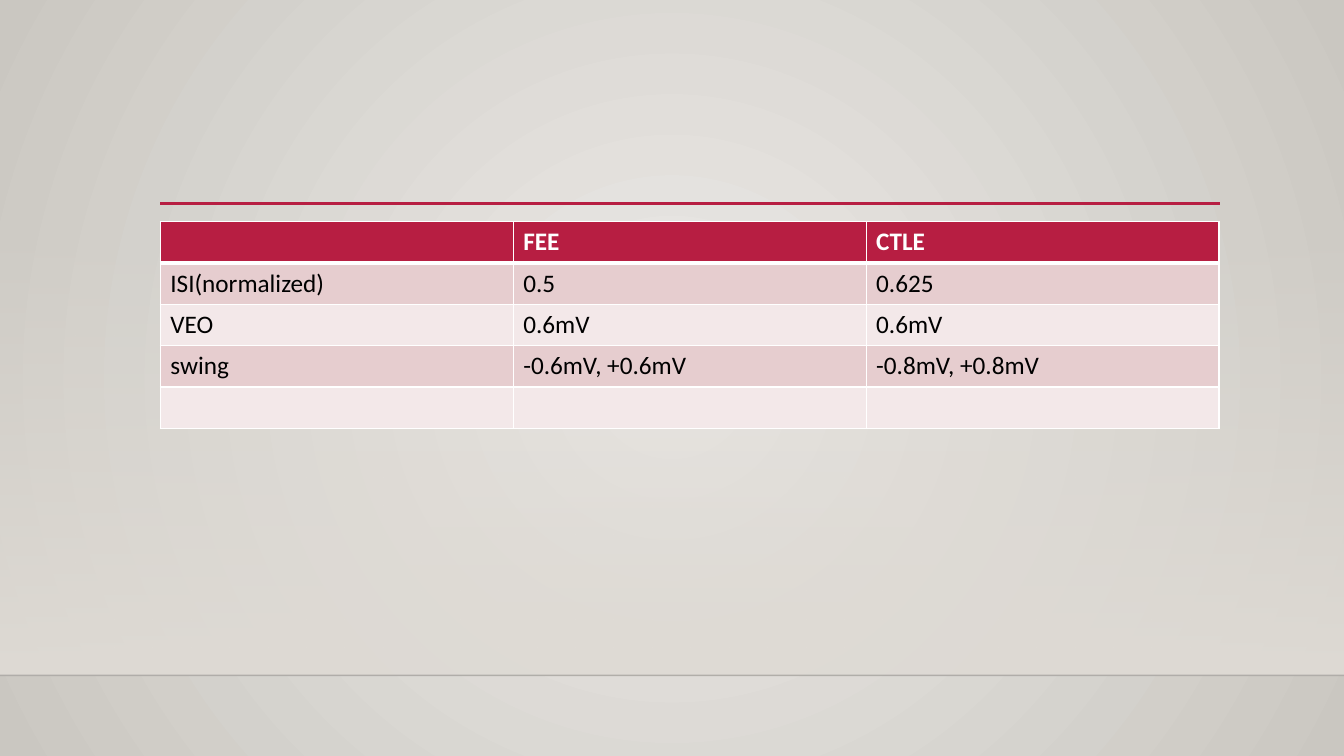
"""Build the equalizer comparison slide."""
from dataclasses import dataclass

from lxml import etree
from pptx import Presentation
from pptx.dml.color import RGBColor
from pptx.enum.shapes import MSO_CONNECTOR, MSO_SHAPE
from pptx.oxml.ns import qn
from pptx.util import Inches, Pt

RECT = MSO_SHAPE.RECTANGLE
STRAIGHT = MSO_CONNECTOR.STRAIGHT
WIDE, HIGH = 13.33, 7.5
FLOOR = 6.7
RED, WHITE, BLACK = "B71E42", "FFFFFF", "000000"
BANDS = ("E6CDCF", "F3E8E9")
COL, ROW = 3.5, 0.41
DATA = (
    ("", "FEE", "CTLE"),
    ("ISI(normalized)", "0.5", "0.625"),
    ("VEO", "0.6mV", "0.6mV"),
    ("swing", "-0.6mV, +0.6mV", "-0.8mV, +0.8mV"),
    ("", "", ""),
)


@dataclass
class Rule:
    """A level line across the slide."""
    left: float
    right: float
    top: float
    color: str
    width: float
    alpha: int = 100


@dataclass
class Stop:
    """One color stop of a gradient."""
    place: int
    color: str
    alpha: int = 100


RULES = (
    Rule(0, WIDE, FLOOR, "000001", 1, 20),
    Rule(1.59, 12.1, 2.02, RED, 2.5),
)


def paint(target, color: str) -> None:
    """Fill a target with one color."""
    target.fill.solid()
    target.fill.fore_color.rgb = RGBColor.from_string(color)


def add(parent, tag: str, **attrs):
    """Append a child element with attributes."""
    return etree.SubElement(parent, qn(tag), {k: str(v) for k, v in attrs.items()})


def fade(node, alpha: int) -> None:
    """Give a color element an opacity in percent."""
    if alpha < 100:
        add(node, "a:alpha", val=alpha * 1000)


def blend(props, stops: tuple[Stop, ...], round_: bool) -> None:
    """Swap a solid fill for a round or downward gradient."""
    grad = etree.Element(qn("a:gradFill"), rotWithShape="1")
    items = add(grad, "a:gsLst")
    for stop in stops:
        mark = add(items, "a:gs", pos=stop.place * 1000)
        fade(add(mark, "a:srgbClr", val=stop.color), stop.alpha)
    if round_:
        shade = add(grad, "a:path", path="circle")
        add(shade, "a:fillToRect", **dict.fromkeys("ltrb", 50000))
    else:
        add(grad, "a:lin", ang=5400000, scaled=0)
    props.replace(props.find(qn("a:solidFill")), grad)


def draw_back(slide) -> None:
    """Draw the round backdrop and the wall glow."""
    paint(slide.background, "CAC7C1")
    back = slide.element.find(".//" + qn("p:bgPr"))
    blend(back, (Stop(0, "ECEAE7"), Stop(100, "CAC7C1")), True)
    top = 2.21
    wall = slide.shapes.add_shape(
        RECT, 0, Inches(top), Inches(WIDE), Inches(FLOOR - top))
    wall.shadow.inherit = False
    wall.line.fill.background()
    paint(wall, "DFDBD5")
    blend(wall.element.spPr, (Stop(0, "DFDBD5", 0), Stop(100, "DFDBD5")), False)


def draw_rule(slide, rule: Rule) -> None:
    """Draw one level line."""
    line = slide.shapes.add_connector(
        STRAIGHT, Inches(rule.left), Inches(rule.top),
        Inches(rule.right), Inches(rule.top))
    line.line.width = Pt(rule.width)
    paint(line.line, rule.color)
    props = line.element.spPr
    fade(props.find(".//" + qn("a:srgbClr")), rule.alpha)
    add(props, "a:effectLst")


def edge(cell, row: int) -> None:
    """Draw white cell borders, thick below the header."""
    props = cell._tc.get_or_add_tcPr()
    widths = {"L": 1, "R": 1, "T": 3 if row == 1 else 1, "B": 1 if row else 3}
    for side, width in widths.items():
        line = add(props, f"a:ln{side}", w=Pt(width))
        add(add(line, "a:solidFill"), "a:srgbClr", val=WHITE)


def draw_table(slide) -> None:
    """Draw the table of measured values."""
    rows, cols = len(DATA), len(DATA[0])
    table = slide.shapes.add_table(
        rows, cols, Inches(1.59), Inches(2.2),
        Inches(COL * cols), Inches(ROW * rows)).table
    for row, texts in enumerate(DATA):
        head = row == 0
        style = {"name": "Calibri", "size": Pt(18), "bold": head}
        for col, text in enumerate(texts):
            cell = table.cell(row, col)
            edge(cell, row)
            paint(cell, RED if head else BANDS[(row - 1) % 2])
            cell.text = text
            font = cell.text_frame.paragraphs[0].font
            for key, value in style.items():
                setattr(font, key, value)
            font.color.rgb = RGBColor.from_string(WHITE if head else BLACK)


def main() -> None:
    """Build and save the deck."""
    deck = Presentation()
    deck.slide_width, deck.slide_height = Inches(WIDE), Inches(HIGH)
    slide = deck.slides.add_slide(deck.slide_layouts[6])
    draw_back(slide)
    for rule in RULES:
        draw_rule(slide, rule)
    draw_table(slide)
    deck.save("out.pptx")


if __name__ == "__main__":
    main()
